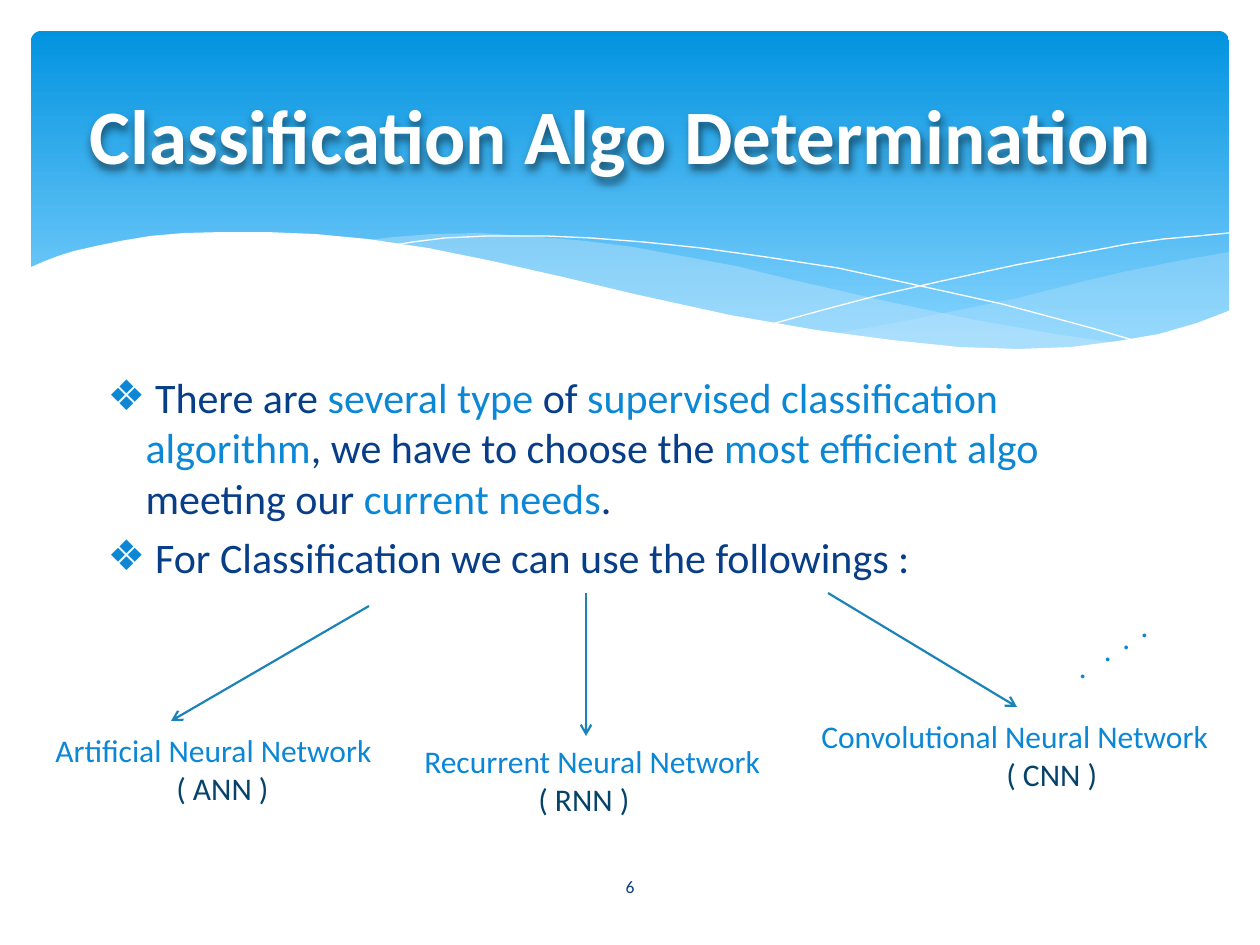
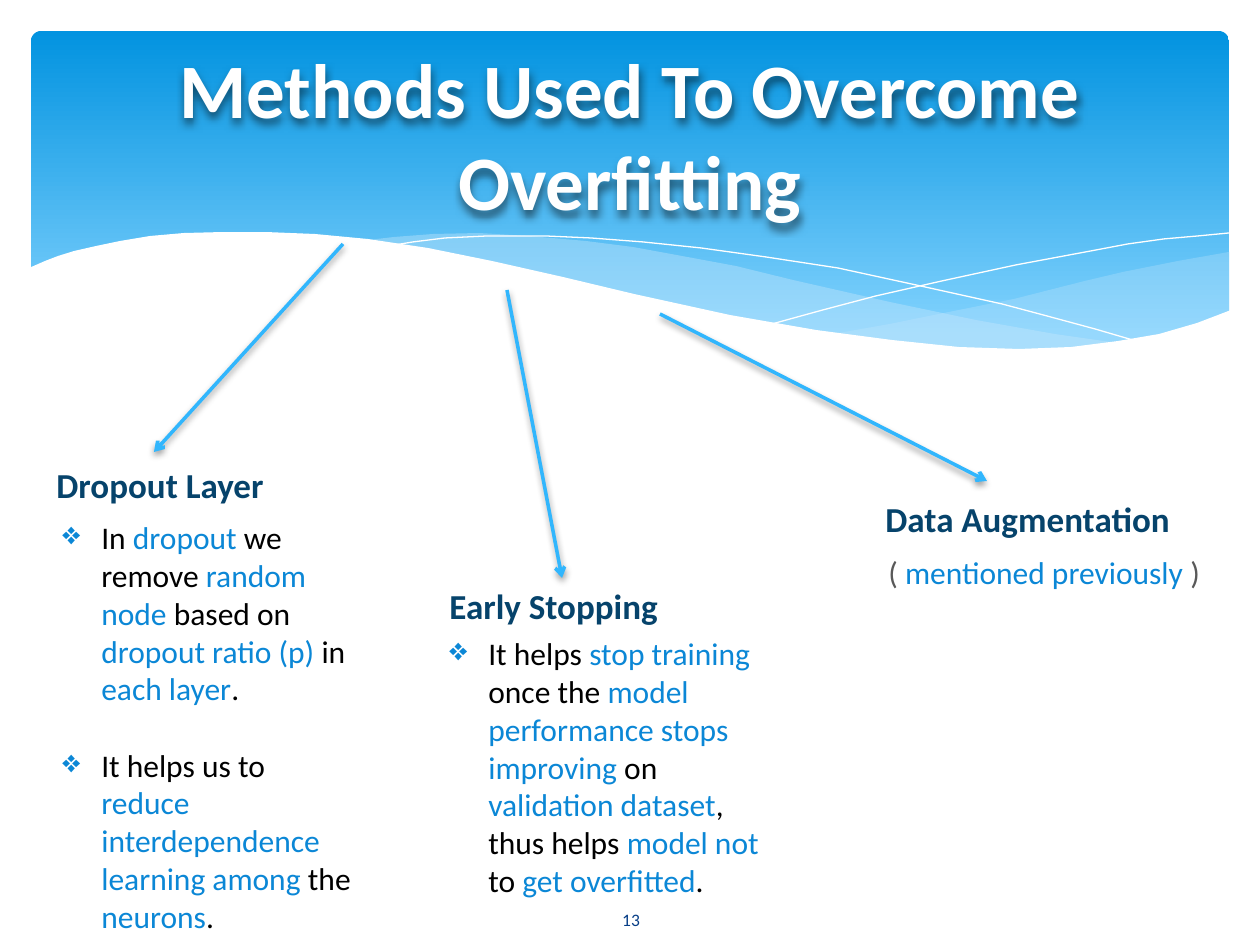
from dataclasses import dataclass

from lxml.etree import SubElement
from pptx import Presentation
from pptx.dml.color import RGBColor
from pptx.enum.shapes import MSO_CONNECTOR as Connector, MSO_SHAPE as Preset
from pptx.enum.text import MSO_ANCHOR as Anchor, MSO_AUTO_SIZE as AutoSize, PP_ALIGN as Align
from pptx.oxml.ns import qn
from pptx.util import Pt

SCALE = 914400 / 126

RIGHT_WAVE = [
    (1229, 252), (1178, 261), (1123, 272), (1085, 281), (1014, 299), (949, 312),
    (890, 324), (833, 334), (871, 339), (922, 345), (969, 349), (1026, 350),
    (1076, 348), (1120, 343), (1160, 334), (1196, 324), (1230, 311), (1230, 252),
]
LEFT_WAVE = [
    (1125, 344), (1055, 334), (976, 320), (890, 302), (793, 280), (736, 266),
    (682, 256), (633, 247), (586, 241), (529, 236), (479, 233), (433, 234),
    (394, 237), (360, 241), (407, 247), (456, 256), (509, 266), (566, 280),
    (668, 302), (736, 318), (799, 329), (857, 338), (910, 345), (959, 349),
    (1017, 350), (1068, 349), (1104, 346),
]
FALLING_LINE = [
    (389, 246), (413, 242), (445, 238), (487, 236), (546, 236), (591, 238),
    (643, 242), (701, 248), (766, 257), (838, 268), (916, 285), (1002, 304),
    (1047, 316), (1095, 329), (1143, 343),
]
RISING_LINE = [
    (772, 324), (823, 310), (876, 296), (942, 281), (1016, 265), (1091, 251),
    (1128, 244), (1164, 239), (1198, 236), (1229, 233),
]
WHITE_WAVE = [
    (1231, 310), (1197, 323), (1159, 334), (1118, 341), (1071, 347), (1019, 349),
    (959, 347), (892, 340), (816, 330), (730, 315), (634, 294), (563, 277),
    (492, 261), (428, 248), (368, 239), (315, 234), (266, 232), (223, 232),
    (184, 233), (150, 236), (120, 241), (96, 246), (74, 251), (58, 256),
    (45, 261), (29, 268), (29, 415), (1231, 415),
]


@dataclass(frozen=True)
class Theme:
    font: str = "Calibri"
    white: str = "FFFFFF"
    black: str = "000000"
    grey: str = "595959"
    navy: str = "073E87"
    heading: str = "06436B"
    accent: str = "0B87D6"
    band_top: str = "0293E0"
    band_bottom: str = "83D3FE"
    wave: str = "C6E7FC"
    thin_arrow: str = "1C83B9"
    bold_arrow: str = "31B6FD"
    title_size: int = 44
    body_size: int = 24
    heading_size: int = 20
    text_size: int = 18
    number_size: int = 10


def px(*lengths):
    return [round(length * SCALE) for length in lengths]


def rgb(colour):
    return RGBColor.from_string(colour)


def add_effects(shape, shadow=None):
    effects = SubElement(shape._element.spPr, qn("a:effectLst"))
    if shadow:
        opacity, blur, distance = shadow
        outer = SubElement(effects, qn("a:outerShdw"), blurRad=str(Pt(blur)),
                           dist=str(Pt(distance)), dir="5400000", rotWithShape="0")
        colour = SubElement(outer, qn("a:srgbClr"), val="000000")
        SubElement(colour, qn("a:alpha"), val=str(opacity * 1000))


class Deck:
    """Holds the theme and the current slide, and draws each kind of element."""

    def __init__(self, theme):
        self.theme = theme
        self.presentation = Presentation()
        self.presentation.slide_width, self.presentation.slide_height = px(1260, 945)
        self.slide = None

    def new_slide(self, layout_index, title):
        layout = self.presentation.slide_layouts[layout_index]
        self.slide = self.presentation.slides.add_slide(layout)
        shape = self.slide.shapes.title
        self.place(shape, 63, 47, 1134, 173)
        frame = shape.text_frame
        frame.auto_size, frame.vertical_anchor = AutoSize.NONE, Anchor.MIDDLE
        self.set_text(frame.paragraphs[0], title, self.theme.title_size, self.theme.white,
                      bold=True, align=Align.CENTER)
        add_effects(shape, (50, 5, 3))

    def place(self, shape, *box):
        shape.left, shape.top, shape.width, shape.height = px(*box)

    def set_text(self, paragraph, text, size, colour, bold=False, align=Align.LEFT):
        """Set text whose parts between bars take the accent colour."""
        paragraph.alignment = align
        font = paragraph.font
        font.name, font.size, font.bold = self.theme.font, Pt(size), bold
        font.color.rgb = rgb(colour)
        for index, part in enumerate(text.split("|")):
            if part:
                run = paragraph.add_run()
                run.text = part
                if index % 2:
                    run.font.color.rgb = rgb(self.theme.accent)

    def bullets(self, frame, items, size, colour, indent, gap=0):
        for index, item in enumerate(items):
            paragraph = frame.add_paragraph() if index else frame.paragraphs[0]
            properties = paragraph._p.get_or_add_pPr()
            margin, = px(indent)
            properties.set("marL", str(margin))
            properties.set("indent", str(-margin))
            bullet_colour = SubElement(properties, qn("a:buClr"))
            SubElement(bullet_colour, qn("a:srgbClr"), val=self.theme.accent)
            SubElement(properties, qn("a:buChar"), char="❖")
            paragraph.space_before = Pt(gap if index else 0)
            self.set_text(paragraph, item, size, colour)

    def body(self, box, items):
        shape = self.slide.placeholders[1]
        self.place(shape, *box)
        shape.text_frame.auto_size = AutoSize.NONE
        self.bullets(shape.text_frame, items, self.theme.body_size, self.theme.navy, 38, gap=5)

    def text_box(self, box, wrap=False):
        shape = self.slide.shapes.add_textbox(*px(*box))
        shape.text_frame.word_wrap = wrap
        shape.text_frame.auto_size = AutoSize.SHAPE_TO_FIT_TEXT
        return shape

    def label(self, box, text, size, colour, bold=False):
        frame = self.text_box(box).text_frame
        self.set_text(frame.paragraphs[0], text, size, colour, bold)
        return frame

    def heading(self, box, text):
        self.label(box, text, self.theme.heading_size, self.theme.heading, bold=True)

    def network(self, box, name, abbreviation, indent):
        size = self.theme.text_size
        paragraph = self.label(box, name, size, self.theme.accent).add_paragraph()
        paragraph._p.get_or_add_pPr().set("marL", str(px(indent)[0]))
        self.set_text(paragraph, f"( {abbreviation} )", size, self.theme.heading)

    def bullet_box(self, box, items):
        frame = self.text_box(box, wrap=True).text_frame
        self.bullets(frame, items, self.theme.text_size, self.theme.black, 39, gap=22)

    def dots(self, box, rotation, stops):
        shape = self.text_box(box, wrap=True)
        shape.rotation = rotation
        paragraph = shape.text_frame.paragraphs[0]
        tabs = SubElement(paragraph._p.get_or_add_pPr(), qn("a:tabLst"))
        for stop in px(*stops):
            SubElement(tabs, qn("a:tab"), pos=str(stop), algn="l")
        self.set_text(paragraph, "\t." * len(stops), self.theme.text_size, self.theme.accent)

    def number(self, left, top, text):
        shape = self.text_box((left, top, 160, 50), wrap=True)
        frame = shape.text_frame
        frame.auto_size, frame.vertical_anchor = AutoSize.NONE, Anchor.MIDDLE
        self.set_text(frame.paragraphs[0], text, self.theme.number_size, self.theme.navy,
                      align=Align.CENTER)

    def arrow(self, points, colour, width, shadow=None):
        connector = self.slide.shapes.add_connector(Connector.STRAIGHT, *px(*points))
        connector.line.color.rgb = rgb(colour)
        connector.line.width = Pt(width)
        SubElement(connector.line._get_or_add_ln(), qn("a:tailEnd"), type="arrow")
        add_effects(connector, shadow)

    def outline(self, points, closed):
        builder = self.slide.shapes.build_freeform(*points[0], scale=SCALE)
        builder.add_line_segments(points[1:], close=closed)
        shape = builder.convert_to_shape()
        shape.shadow.inherit = False
        return shape

    def wave(self, points, colour, opacity=100):
        shape = self.outline(points, True)
        shape.fill.solid()
        shape.fill.fore_color.rgb = rgb(colour)
        shape.line.fill.background()
        if opacity < 100:
            fill = shape._element.spPr.find(qn("a:solidFill"))
            SubElement(fill[0], qn("a:alpha"), val=str(opacity * 1000))
        return shape

    def hairline(self, points):
        shape = self.outline(points, False)
        shape.fill.background()
        shape.line.color.rgb = rgb(self.theme.white)
        shape.line.width = 0
        return shape

    def gradient_band(self):
        shape = self.slide.shapes.add_shape(Preset.ROUNDED_RECTANGLE, *px(31, 31, 1198, 340))
        shape.adjustments[0] = 0.03
        shape.shadow.inherit = False
        shape.line.fill.background()
        shape.fill.gradient()
        shape.fill.gradient_angle = 270
        colours = (self.theme.band_top, self.theme.band_bottom)
        for stop, colour, position in zip(shape.fill.gradient_stops, colours, (0, 0.9)):
            stop.color.rgb = rgb(colour)
            stop.position = position
        return shape

    def master_band(self):
        """Draw the wavy band and hand it to the slide master."""
        tree = self.presentation.slide_master.shapes._spTree
        for shape in (
            self.gradient_band(),
            self.wave(RIGHT_WAVE, self.theme.wave, 29),
            self.wave(LEFT_WAVE, self.theme.wave, 40),
            self.hairline(FALLING_LINE),
            self.hairline(RISING_LINE),
            self.wave(WHITE_WAVE, self.theme.white),
        ):
            tree.append(shape._element)


def algorithm_slide(deck):
    deck.new_slide(1, "Classification Algo Determination ")
    deck.master_band()
    deck.body((95, 365, 1021, 224), [
        " There are |several type| of |supervised classification algorithm|, we have to "
        "choose the |most efficient algo |meeting our |current needs|.",
        " For Classification we can use the followings :",
    ])
    for points in ((369, 606, 171, 721), (586, 593, 586, 736), (828, 593, 1017, 707)):
        deck.arrow(points, deck.theme.thin_arrow, 1.25)
    deck.network((43, 725, 364, 89), "Artificial Neural Network", "ANN", 121)
    deck.network((412, 736, 388, 89), "Recurrent Neural Network", "RNN", 114)
    deck.network((809, 711, 432, 89), "Convolutional Neural Network", "CNN", 185)
    deck.dots((1037, 611, 174, 50), 326.5, (14, 44, 66, 88))
    deck.number(550, 862, "6")


def overfitting_slide(deck):
    theme = deck.theme
    deck.new_slide(5, "Methods Used To Overcome Overfitting")
    for points in ((343, 244, 154, 452), (660, 314, 987, 481), (507, 290, 562, 578)):
        deck.arrow(points, theme.bold_arrow, 2, (38, 4, 2))
    deck.heading((44, 457, 252, 55), "Dropout Layer")
    deck.heading((873, 491, 330, 55), "Data Augmentation")
    deck.heading((437, 578, 256, 55), "Early Stopping")
    deck.number(551, 895, "13")
    deck.label((876, 547, 353, 50), "( |mentioned previously |)", theme.text_size, theme.grey)
    deck.bullet_box((50, 512, 318, 433), [
        "In |dropout| we remove |random node| based on |dropout ratio (p) |in |each layer|.",
        "It helps us to |reduce interdependence learning among |the |neurons|.",
    ])
    deck.bullet_box((437, 628, 362, 317), [
        "It helps |stop training |once the |model performance stops improving| on "
        "|validation dataset|, thus helps |model not |to |get overfitted|.",
    ])


def main():
    deck = Deck(Theme())
    algorithm_slide(deck)
    overfitting_slide(deck)
    deck.presentation.save("out.pptx")


if __name__ == "__main__":
    main()
